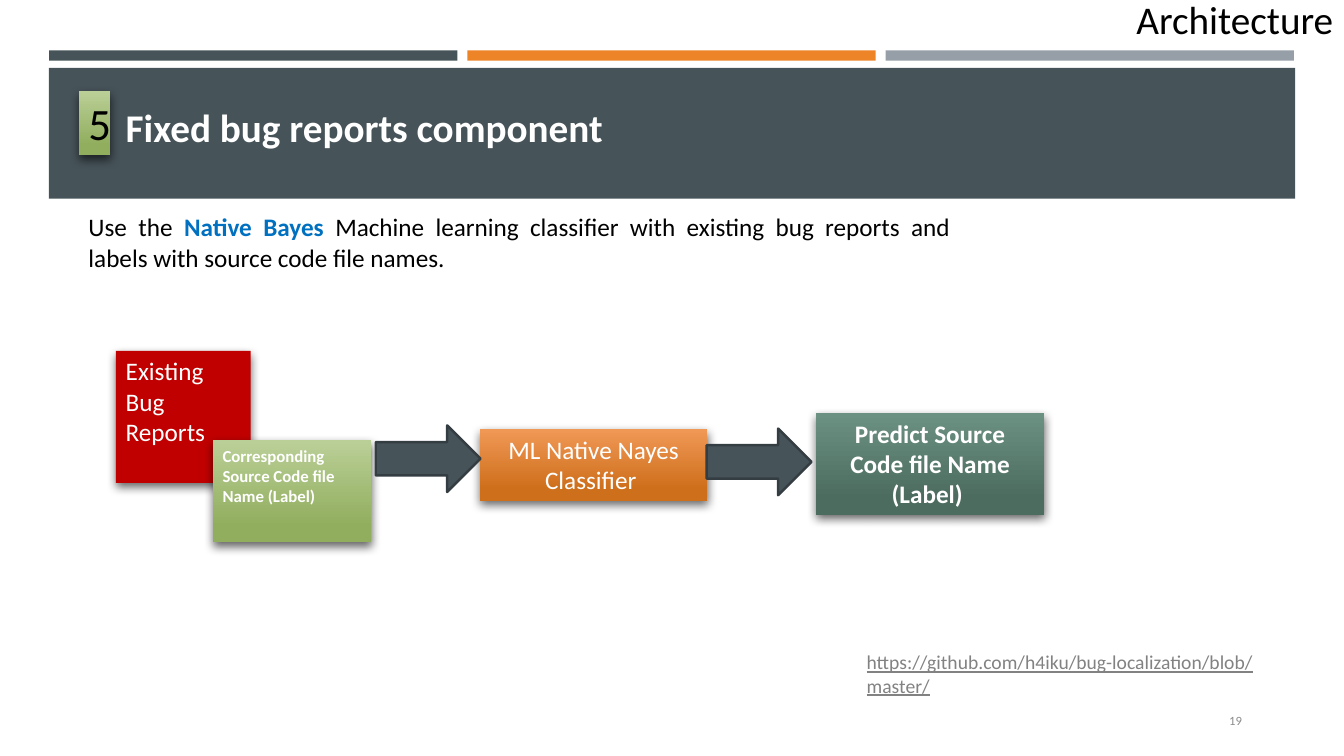
"""Builds the architecture slide on the fixed bug reports component."""
import pptx
import pptx.dml.color
import pptx.enum.shapes
import pptx.enum.text
import pptx.oxml
import pptx.oxml.ns
import pptx.util
import lxml.etree

Cm, Pt = pptx.util.Cm, pptx.util.Pt
SHAPE = pptx.enum.shapes.MSO_SHAPE
ALIGN = pptx.enum.text.PP_ALIGN
ANCHOR = pptx.enum.text.MSO_ANCHOR

COLORS = {
    "slate": "465359", "orange": "ED8428", "gray": "969FA7", "edge": "343D42",
    "red": "C00000", "blue": "0070C0", "white": "FFFFFF", "black": "000000",
    "link": "828282", "number": "8C8C8C",
    "green_top": "BACF97", "green_end": "91AE5E",
    "amber_top": "F09856", "amber_end": "CE6F1B",
    "teal_top": "6B9182", "teal_end": "4C6C5F",
}


class Deck:
    """Holds the style and the current slide."""

    font = "Calibri"

    def __init__(self, width, height):
        self.prs = pptx.Presentation()
        self.prs.slide_width, self.prs.slide_height = Cm(width), Cm(height)
        self.s = self.prs.slides.add_slide(self.prs.slide_layouts[6])

    def rgb(self, name):
        return pptx.dml.color.RGBColor.from_string(COLORS[name])

    def fill_text(self, sp, runs, size, color="black", align=ALIGN.LEFT,
                  anchor=ANCHOR.TOP, wrap=True, **style):
        tf = sp.text_frame
        tf.word_wrap, tf.vertical_anchor = wrap, anchor
        p = tf.paragraphs[0]
        p.alignment = align
        for text, extra in runs:
            r = p.add_run()
            r.text = text
            values = {"name": self.font, "size": Pt(size), **style, **extra}
            r.font.color.rgb = self.rgb(values.pop("color", color))
            for key, value in values.items():
                setattr(r.font, key, value)

    def text(self, at, runs, size, **style):
        sp = self.s.shapes.add_textbox(*map(Cm, at))
        self.fill_text(sp, runs, size, **style)

    def shape(self, at, fill, kind=SHAPE.RECTANGLE):
        sp = self.s.shapes.add_shape(kind, *map(Cm, at))
        sp.shadow.inherit = False
        sp.line.fill.background()
        if f"{fill}_top" in COLORS:
            sp.fill.gradient()
            sp.fill.gradient_angle = 270
            stops = zip(sp.fill.gradient_stops, ("top", "end"), (0, 0.84))
            for stop, part, position in stops:
                stop.color.rgb = self.rgb(f"{fill}_{part}")
                stop.position = position
        else:
            sp.fill.solid()
            sp.fill.fore_color.rgb = self.rgb(fill)
        return sp

    def card(self, at, fill, text, size, color="white", **style):
        sp = self.shape(at, fill)
        qn = pptx.oxml.ns.qn
        effects = sp._element.spPr.find(qn("a:effectLst"))
        shadow = lxml.etree.SubElement(
            effects, qn("a:outerShdw"), blurRad=str(Pt(7)), dist=str(Pt(3)),
            dir=str(84 * 60000), algn="ctr", rotWithShape="0")
        tint = lxml.etree.SubElement(shadow, qn("a:srgbClr"), val=COLORS["black"])
        lxml.etree.SubElement(tint, qn("a:alpha"), val="60000")
        self.fill_text(sp, [(text, {})], size, color=color, **style)

    def arrow(self, left, top):
        sp = self.shape((left, top, 2.64, 1.68), "slate", SHAPE.RIGHT_ARROW)
        sp.line.color.rgb = self.rgb("edge")
        sp.line.width = Pt(1.75)


def main():
    deck = Deck(33.87, 19.05)

    for i, color in enumerate(("slate", "orange", "gray")):
        deck.shape((1.24 + 10.54 * i, 1.27, 10.29, 0.26), color)
    deck.shape((1.23, 1.71, 31.41, 3.3), "slate")

    deck.text((27.46, 17.65, 4.09, 1.02), [("19", {})], 9, color="number",
              align=ALIGN.RIGHT, anchor=ANCHOR.MIDDLE)
    deck.text((26.7, -0.25, 8.84, 1.45), [("Architecture", {})], 28,
              align=ALIGN.CENTER)
    deck.text((1.98, 5.21, 22.22, 3.33), [
        ("Use the ", {}),
        ("Native Bayes ", {"color": "blue", "bold": True}),
        ("Machine learning classifier with existing bug reports and labels "
         "with source code file names.", {}),
    ], 18, align=ALIGN.JUSTIFY)
    deck.text((2.92, 2.49, 14.38, 1.45), [("Fixed bug reports component", {})],
              28, color="white", wrap=False, bold=True)
    deck.card((1.98, 2.29, 0.79, 1.63), "green", "5", 32, color="black",
              align=ALIGN.CENTER)
    deck.text((21.59, 16.26, 11.76, 0.86),
              [("https://github.com/h4iku/bug-localization/blob/master/", {})],
              14, color="link", underline=True)

    deck.card((2.92, 8.84, 3.4, 3.33), "red", "Existing Bug Reports ", 18,
              align=ALIGN.JUSTIFY)
    deck.card((5.36, 11.1, 3.99, 2.57), "green",
              "Corresponding Source Code file Name (Label)", 12, bold=True)
    deck.card((12.09, 10.82, 5.74, 1.8), "amber", "ML Native Nayes Classifier ",
              18, align=ALIGN.CENTER)
    deck.arrow(9.47, 10.72)
    deck.card((20.57, 10.41, 5.74, 2.57), "teal",
              "Predict Source Code file Name (Label) ", 18,
              align=ALIGN.CENTER, bold=True)
    deck.arrow(17.81, 10.8)

    deck.prs.save("out.pptx")


if __name__ == "__main__":
    main()
